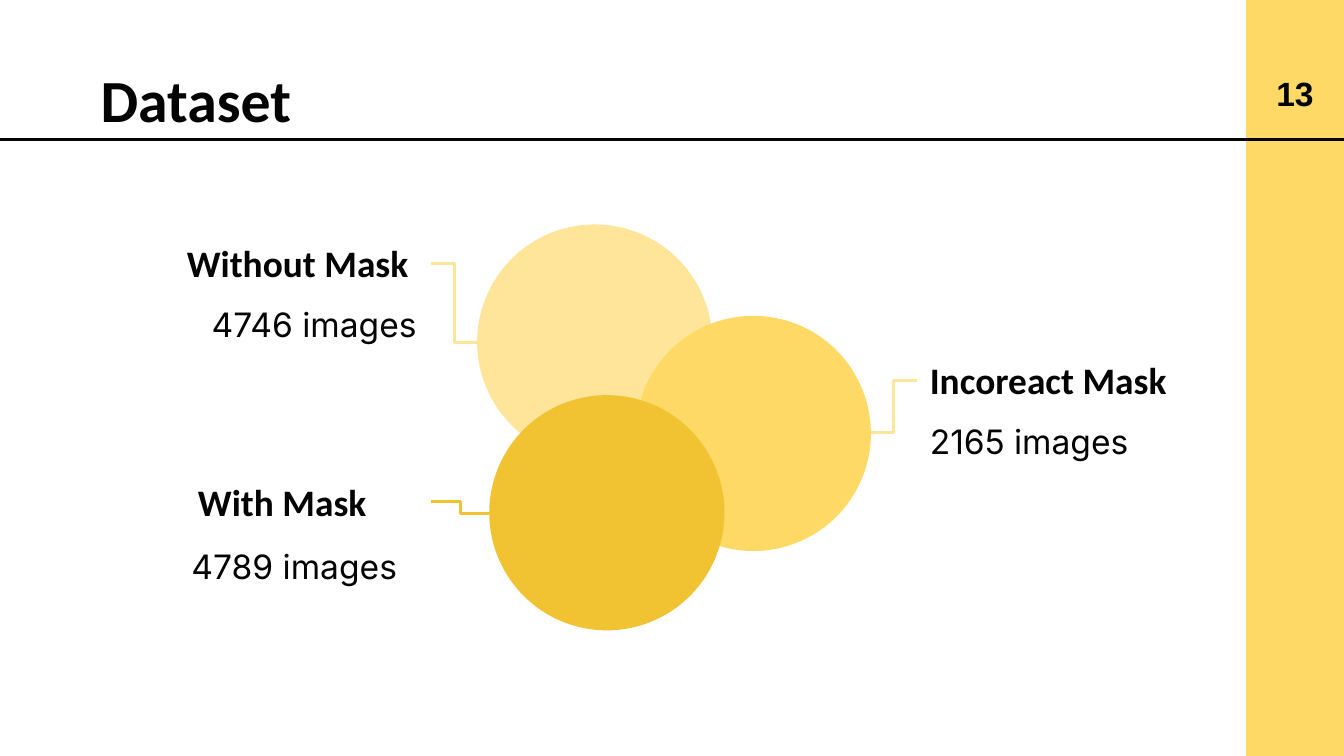
from lxml import etree
from pptx import Presentation
from pptx.dml.color import RGBColor
from pptx.enum.shapes import MSO_CONNECTOR, MSO_SHAPE
from pptx.enum.text import MSO_ANCHOR, PP_ALIGN
from pptx.oxml.ns import qn
from pptx.util import Inches, Pt

LEFT, CENTER, RIGHT = PP_ALIGN.LEFT, PP_ALIGN.CENTER, PP_ALIGN.RIGHT
TOP, MIDDLE = MSO_ANCHOR.TOP, MSO_ANCHOR.MIDDLE
RECTANGLE, OVAL = MSO_SHAPE.RECTANGLE, MSO_SHAPE.OVAL
STRAIGHT, ELBOW = MSO_CONNECTOR.STRAIGHT, MSO_CONNECTOR.ELBOW

COLORS = {
    "ink": "040404",
    "black": "000000",
    "pale": "FFE599",
    "yellow": "FFD966",
    "gold": "F1C232",
}
WIDTH = 10
HEIGHT = WIDTH * 9 / 16
DIAMETER = 1.75


class SlideBuilder:
    """Draws styled elements on the current slide."""

    def __init__(self, slide):
        self.slide = slide

    def shape(self, kind, box, color):
        shape = self.slide.shapes.add_shape(kind, *map(Inches, box))
        shape.shadow.inherit = False
        shape.fill.solid()
        shape.fill.fore_color.rgb = RGBColor.from_string(COLORS[color])
        shape.line.fill.background()

    def circle(self, left, top, color):
        self.shape(OVAL, (left, top, DIAMETER, DIAMETER), color)

    def line(self, kind, start, end, color):
        line = self.slide.shapes.add_connector(kind, *map(Inches, start + end))
        line.line.color.rgb = RGBColor.from_string(COLORS[color])
        line.line.width = Pt(1.5)
        etree.SubElement(line._element.spPr, qn("a:effectLst"))

    def text(self, words, box, size, font, align=LEFT, anchor=TOP,
             bold=False, color="ink", after=0):
        frame = self.slide.shapes.add_textbox(*map(Inches, box)).text_frame
        frame.word_wrap = True
        frame.vertical_anchor = anchor
        frame.margin_left = frame.margin_right = Inches(0.1)
        frame.margin_top = frame.margin_bottom = Inches(0.1)
        paragraph = frame.paragraphs[0]
        paragraph.alignment = align
        paragraph.space_after = Pt(after)
        run = paragraph.add_run()
        run.text = words
        run.font.name = font
        run.font.size = Pt(size)
        run.font.bold = bold
        run.font.color.rgb = RGBColor.from_string(COLORS[color])

    def category(self, name, box, align):
        self.text(name, box, 20, "Calibri", align, MIDDLE, bold=True)

    def count(self, images, box, align):
        self.text(images, box, 18, "Inter", align, after=16)


def main():
    deck = Presentation()
    deck.slide_width, deck.slide_height = Inches(WIDTH), Inches(HEIGHT)
    page = SlideBuilder(deck.slides.add_slide(deck.slide_layouts[6]))

    page.shape(RECTANGLE, (9.27, 0, 0.73, HEIGHT), "yellow")
    page.line(STRAIGHT, (0, 1.04), (10.01, 1.04), "ink")
    page.text("13", (9.36, 0.48, 0.55, 0.43), 18, "Arial", CENTER, MIDDLE,
              bold=True, color="black")
    page.text("Dataset", (0.65, 0.37, 3.42, 0.74), 32, "Calibri", bold=True)

    page.category("Without Mask", (1.23, 1.64, 1.97, 0.63), CENTER)
    page.count("4746 images", (1.23, 2.16, 1.97, 0.45), RIGHT)
    page.category("Incoreact Mask", (6.82, 2.51, 2.03, 0.63), LEFT)
    page.count("2165 images", (6.82, 3.03, 1.85, 0.57), LEFT)
    page.category("With Mask", (0.99, 3.42, 2.22, 0.63), CENTER)
    page.count("4789 images", (0.99, 3.96, 2.4, 0.96), CENTER)

    page.circle(3.55, 1.67, "pale")
    page.circle(4.73, 2.35, "yellow")
    page.line(ELBOW, (3.21, 1.96), (3.56, 2.55), "pale")
    page.line(ELBOW, (6.82, 2.83), (6.48, 3.22), "pale")
    page.line(ELBOW, (3.21, 3.73), (3.64, 3.82), "gold")
    page.circle(3.64, 2.94, "gold")

    deck.save("out.pptx")


if __name__ == "__main__":
    main()
